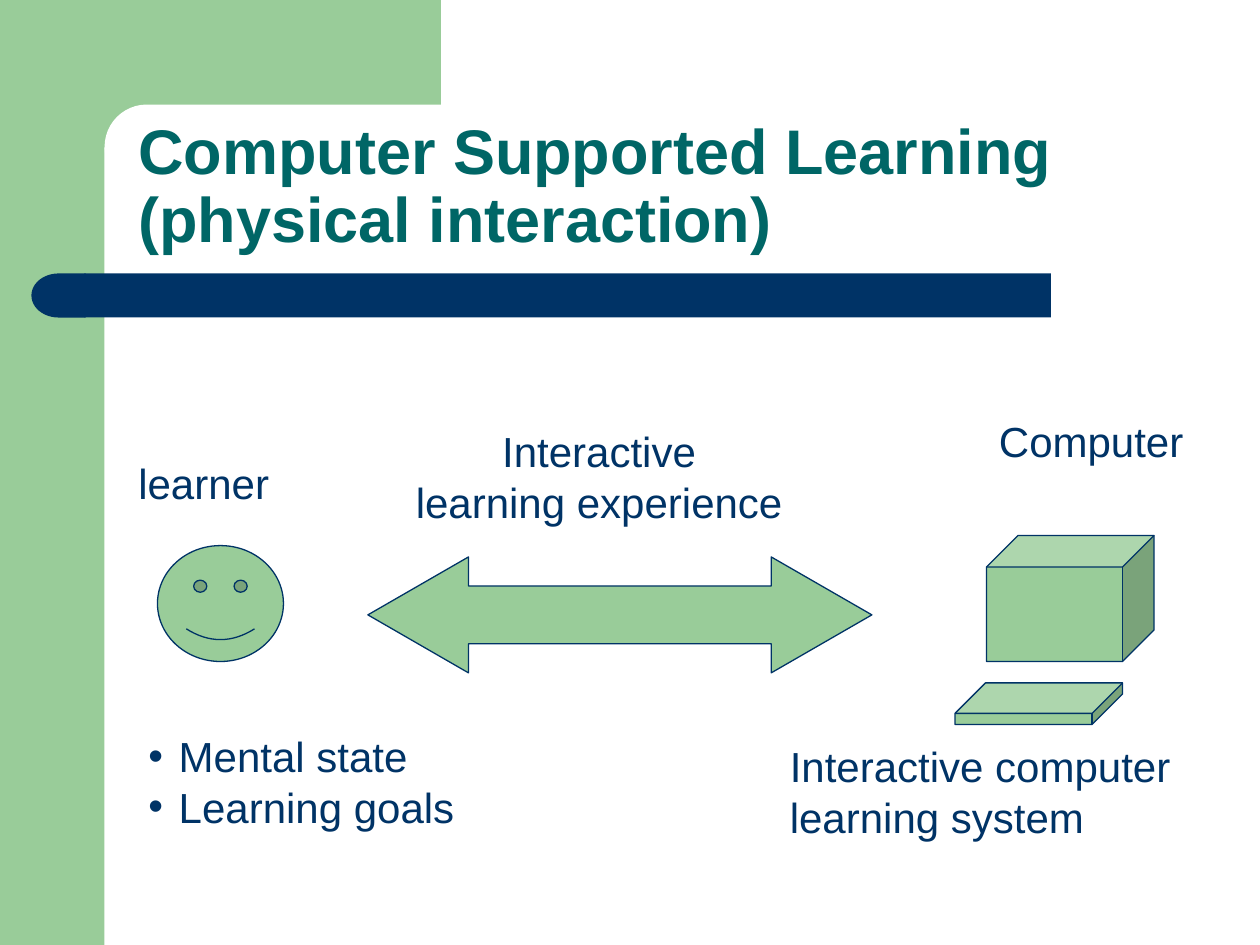
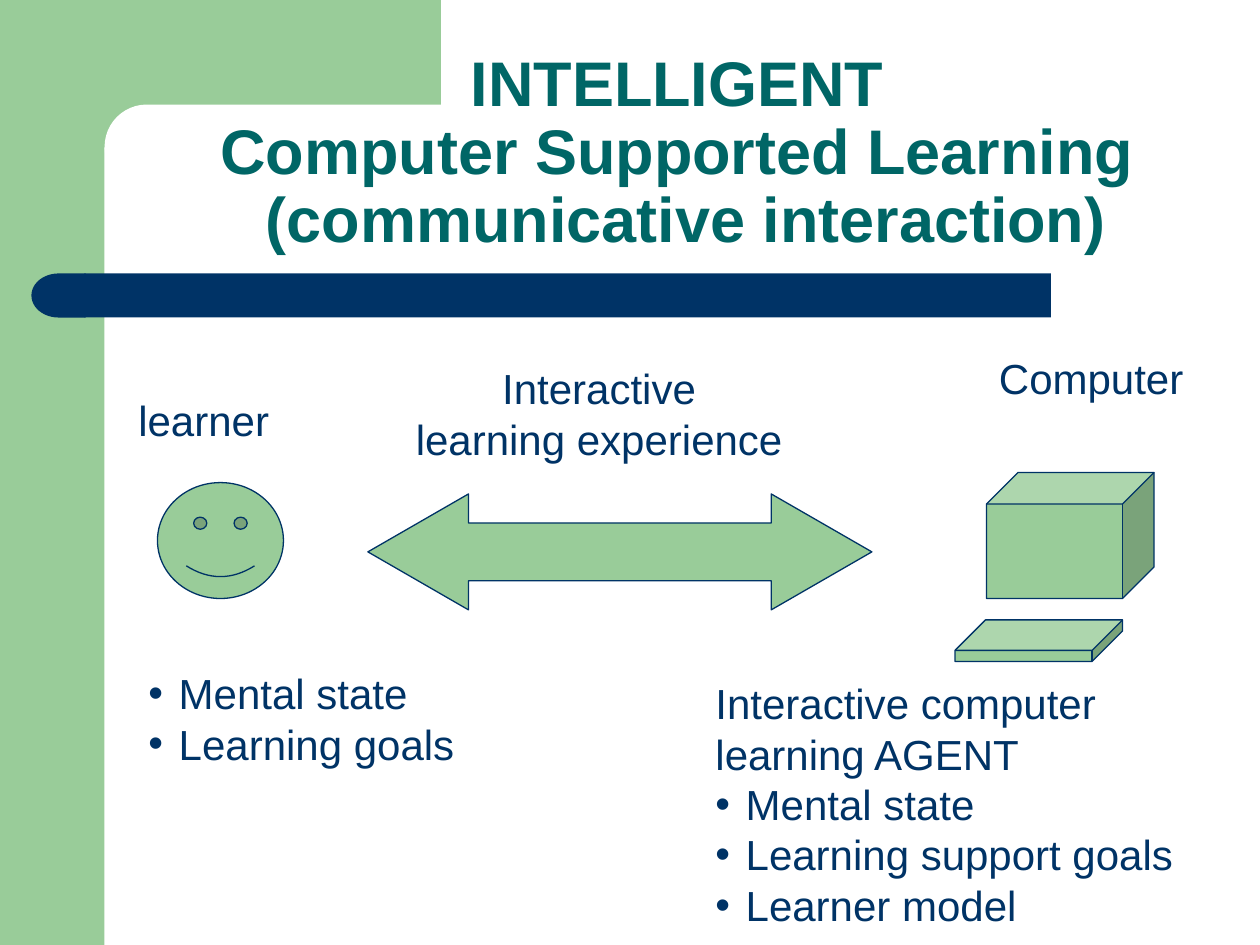
"""Build two slides comparing physical and communicative computer supported learning."""
from pptx import Presentation
from pptx.dml.color import RGBColor
from pptx.enum.shapes import MSO_SHAPE
from pptx.enum.text import MSO_ANCHOR, PP_ALIGN
from pptx.oxml.ns import qn
from pptx.util import Inches, Pt
from lxml import etree

COLORS = {"green": "99CC99", "navy": "003366", "teal": "006666", "white": "FFFFFF"}
FONT = "Arial"
BULLET_INDENT = Inches(0.24)


def add_figure(slide, kind, box, fill, line=None, adjustments=()):
    shape = slide.shapes.add_shape(kind, *[Inches(length) for length in box])
    shape.shadow.inherit = False
    shape.fill.solid()
    shape.fill.fore_color.rgb = RGBColor.from_string(COLORS[fill])
    if line:
        shape.line.color.rgb = RGBColor.from_string(COLORS[line])
        shape.line.width = Pt(0.75)
    else:
        shape.line.fill.background()
    for index, value in enumerate(adjustments):
        shape.adjustments[index] = value
    return shape


def add_text(slide, box, text, bullets=(), size=24, color="navy", bold=False, align=PP_ALIGN.LEFT):
    shape = slide.shapes.add_textbox(*[Inches(length) for length in box])
    text_frame = shape.text_frame
    text_frame.word_wrap = True
    lines = ([text] if text else []) + list(bullets)
    for index, line in enumerate(lines):
        paragraph = text_frame.paragraphs[0] if index == 0 else text_frame.add_paragraph()
        paragraph.text = line
        paragraph.alignment = align
        for run in paragraph.runs:
            run.font.name = FONT
            run.font.size = Pt(size)
            run.font.bold = bold
            run.font.color.rgb = RGBColor.from_string(COLORS[color])
        if line in bullets:
            properties = paragraph._p.get_or_add_pPr()
            properties.set("marL", str(BULLET_INDENT))
            properties.set("indent", str(-BULLET_INDENT))
            etree.SubElement(properties, qn("a:buFont")).set("typeface", FONT)
            etree.SubElement(properties, qn("a:buChar")).set("char", "•")
    return text_frame


presentation = Presentation()
presentation.slide_width = Inches(10)
presentation.slide_height = Inches(7.5)

slides = [
    {
        "title": "Computer Supported Learning\v(physical interaction)",
        "title_box": (1, 0.83, 8.75, 1.25),
        "title_align": PP_ALIGN.LEFT,
        "diagram_top": 3.25,
        "system": "Interactive computer learning system",
        "system_left": 6.17,
        "system_size": (3.42, 0.9),
        "system_bullets": [],
    },
    {
        "title": "INTELLIGENT\vComputer Supported Learning\v (communicative interaction)",
        "title_box": (1, 0.33, 8.75, 1.75),
        "title_align": PP_ALIGN.CENTER,
        "diagram_top": 2.75,
        "system": "Interactive computer learning AGENT",
        "system_left": 5.58,
        "system_size": (4, 2.1),
        "system_bullets": ["Mental state", "Learning support goals", "Learner model"],
    },
]

backdrop = [
    (MSO_SHAPE.RECTANGLE, (0, 0, 0.83, 7.5), "green"),
    (MSO_SHAPE.RECTANGLE, (0.75, 0, 2.75, 1.17), "green"),
    (MSO_SHAPE.ROUNDED_RECTANGLE, (0.83, 0.83, 5.58, 0.67), "white"),
    (MSO_SHAPE.RECTANGLE, (0.67, 2.17, 7.67, 0.35), "navy"),
    (MSO_SHAPE.FLOWCHART_DELAY, (0.25, 2.17, 0.43, 0.35), "navy"),
]

diagram_figures = [
    (MSO_SHAPE.SMILEY_FACE, (1.25, 1.08, 1, 0.92), [0.0465]),
    (MSO_SHAPE.LEFT_RIGHT_ARROW, (2.92, 1.17, 4, 0.92), [0.5, 0.868]),
    (MSO_SHAPE.CUBE, (7.83, 1, 1.33, 1), [0.25]),
    (MSO_SHAPE.CUBE, (7.58, 2.17, 1.33, 0.33), [0.734]),
]

diagram_labels = [
    ("learner", (1, 0.33, 1.33, 0.5), PP_ALIGN.LEFT),
    ("Interactive\vlearning experience", (3.17, 0.08, 3.17, 0.9), PP_ALIGN.CENTER),
    ("Computer", (7.83, 0, 1.83, 0.5), PP_ALIGN.LEFT),
]

for content in slides:
    slide = presentation.slides.add_slide(presentation.slide_layouts[6])
    for kind, box, fill in backdrop:
        figure = add_figure(slide, kind, box, fill)
        if kind == MSO_SHAPE.ROUNDED_RECTANGLE:
            figure.adjustments[0] = 0.5
        if kind == MSO_SHAPE.FLOWCHART_DELAY:
            figure._element.spPr.find(qn("a:xfrm")).set("flipH", "1")

    title_frame = add_text(slide, content["title_box"], content["title"], size=36,
                           color="teal", bold=True, align=content["title_align"])
    title_frame.vertical_anchor = MSO_ANCHOR.BOTTOM
    title_frame.paragraphs[0].line_spacing = 0.9

    top = content["diagram_top"]
    for kind, (left, offset, width, height), adjustments in diagram_figures:
        add_figure(slide, kind, (left, top + offset, width, height), "green", "navy", adjustments)
    for label, (left, offset, width, height), align in diagram_labels:
        add_text(slide, (left, top + offset, width, height), label, align=align)

    add_text(slide, (1.08, top + 2.5, 2.92, 0.9), "", ["Mental state", "Learning goals"])
    add_text(slide, (content["system_left"], top + 2.58, *content["system_size"]),
             content["system"], content["system_bullets"])

presentation.save("out.pptx")
